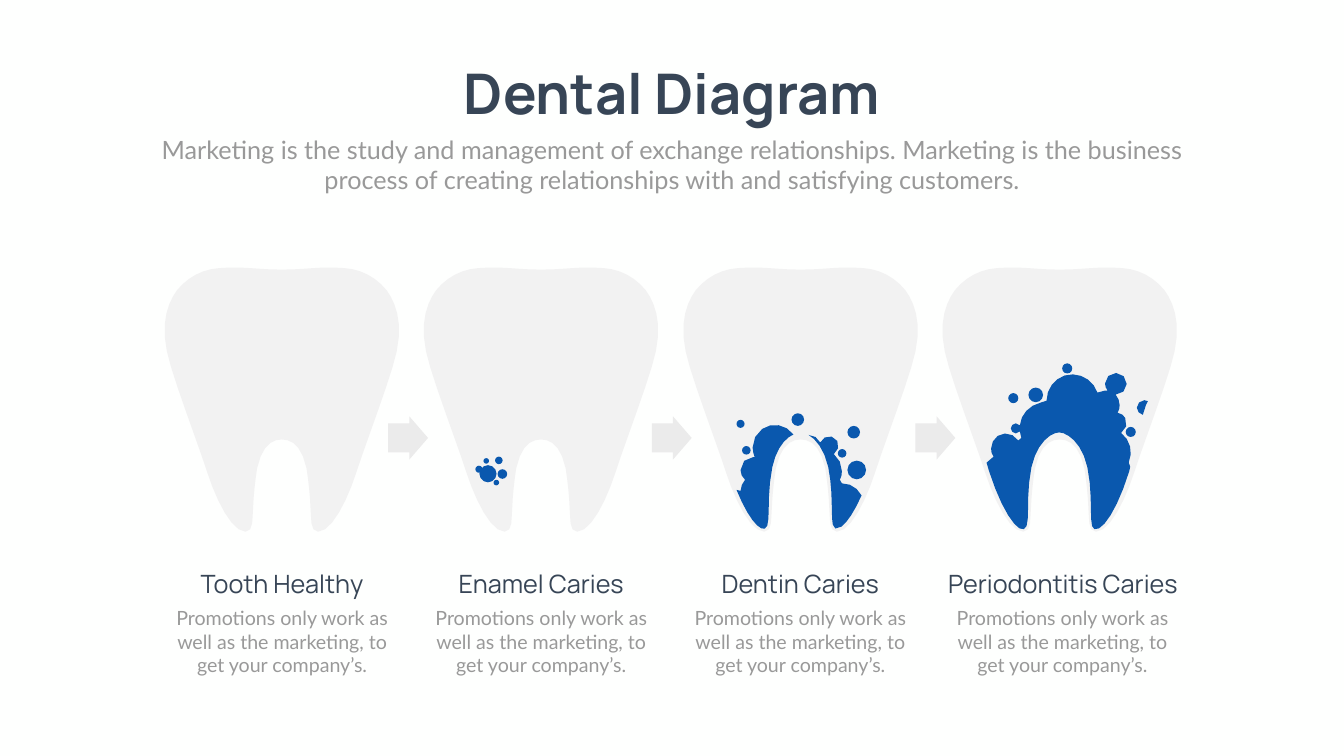
import math

from pptx import Presentation
from pptx import util as u
from pptx.dml.color import RGBColor
from pptx.enum import shapes, text

PX = 9144  # 100 px to the inch
CURVE_STEP = 18
MOST_STEPS = 6

BACKGROUND = RGBColor(0xFE, 0xFF, 0xFE)
NAVY = RGBColor(0x37, 0x45, 0x56)
GRAY = RGBColor(0x99, 0x99, 0x99)
ENAMEL = RGBColor(0xF2, 0xF2, 0xF2)
ARROW = RGBColor(0xEB, 0xEB, 0xEB)
BLUE = RGBColor(0x0A, 0x58, 0xAE)

SUBTITLE = ("Marketing is the study and management of exchange relationships. "
            "Marketing is the business process of creating relationships with "
            "and satisfying customers.")
BODY = "Promotions only work as well as the marketing, to get your company’s."

# Heading, heading width and label centre of each stage
STAGES = [
    ("Tooth Healthy", 499, 559),
    ("Enamel Caries", 499, 1074),
    ("Dentin Caries", 499, 1587),
    ("Periodontitis Caries", 637, 2108),
]
FIRST_TOOTH_CENTER, TOOTH_PITCH = 559, 514.33
FIRST_ARROW_LEFT, ARROW_PITCH = 770, 523

# Outlines: a start point, then lines (x, y) and cubic curves (six numbers)
TOOTH_LEFT_HALF = [
    (0, 535), (-50, 535, -76, 528, -124, 532), (-157, 534, -187, 550, -208, 576),
    (-224, 598, -241, 636, -228, 697), (-218, 746, -164, 886, -148, 937),
    (-130, 993, -99, 1055, -72, 1055), (-55, 1055, -59, 1026, -57, 1009),
    (-56, 982, -53, 955, -49, 929), (-39, 883, -19, 872, 0, 872),
]
DENTIN_LEFT_ROOT = [
    (1517, 1049), (1531, 1045, 1519, 990, 1532, 927), (1540, 889, 1558, 869, 1574, 862),
    (1559, 842, 1532, 837, 1512, 851), (1500, 860, 1493, 873, 1493, 888),
    (1493, 895, 1495, 901, 1497, 907), (1494, 907), (1480, 907, 1469, 918, 1469, 933),
    (1469, 940, 1472, 947, 1478, 952), (1473, 958, 1469, 966, 1469, 974),
    (1461, 972), (1482, 1024, 1505, 1053, 1517, 1049),
]
DENTIN_RIGHT_ROOT = [
    (1670, 959), (1666, 952), (1669, 947, 1670, 941, 1670, 935),
    (1670, 921, 1664, 909, 1654, 901), (1662, 896, 1666, 884, 1661, 875),
    (1656, 866, 1644, 863, 1636, 868), (1627, 878), (1623, 869, 1614, 863, 1604, 863),
    (1618, 871, 1635, 891, 1643, 927), (1653, 977, 1648, 1023, 1652, 1041),
    (1653, 1048, 1659, 1053, 1669, 1045), (1680, 1037, 1695, 1015, 1709, 983),
    (1701, 968, 1687, 959, 1670, 959),
]
PERIODONTITIS = [
    (2242, 926), (2239, 918), (2248, 897, 2242, 873, 2224, 859),
    (2234, 853, 2238, 840, 2232, 829), (2229, 824, 2224, 820, 2217, 819),
    (2220, 814, 2221, 809, 2221, 804), (2221, 796, 2218, 789, 2213, 783),
    (2225, 783, 2235, 774, 2235, 762), (2235, 750, 2226, 740, 2214, 740),
    (2202, 740, 2192, 749, 2192, 761), (2192, 766, 2194, 771, 2197, 775),
    (2192, 775), (2177, 779), (2168, 752, 2139, 737, 2112, 745),
    (2091, 752, 2076, 772, 2076, 795), (2064, 799), (2042, 804, 2025, 822, 2023, 844),
    (2015, 840), (2010, 840, 2005, 845, 2005, 850), (2005, 855, 2010, 860, 2015, 860),
    (2023, 856), (2026, 869), (2020, 874), (2011, 860, 1992, 856, 1979, 865),
    (1971, 871, 1966, 880, 1966, 890), (1966, 896, 1967, 902, 1971, 906),
    (1957, 918), (1962, 935), (1986, 1010, 2016, 1055, 2031, 1050),
    (2046, 1045, 2033, 990, 2046, 927), (2057, 877, 2086, 858, 2101, 858),
    (2116, 858, 2146, 877, 2157, 927), (2170, 990, 2158, 1046, 2171, 1050),
    (2187, 1055, 2217, 1010, 2240, 935),
]
CUT_SPOT = [
    (2255, 809), (2255, 816, 2261, 822, 2267, 823), (2273, 804), (2277, 796),
    (2270, 794), (2262, 794, 2255, 801, 2255, 809),
]

# Each decay: its outlines, then its round spots (left, top, diameter)
DECAYS = [
    ([], [(987, 931, 19), (982, 906, 15), (943, 924, 14), (951, 923, 34),
          (959, 909, 11), (979, 952, 11)]),
    ([DENTIN_LEFT_ROOT, DENTIN_RIGHT_ROOT],
     [(1681, 914, 37), (1570, 820, 25), (1662, 891, 17), (1472, 885, 17),
      (1461, 833, 16), (1681, 845, 25)]),
    ([PERIODONTITIS, CUT_SPOT],
     [(2040, 769, 29), (2107, 721, 20), (2233, 847, 20), (2000, 780, 20)]),
]


def trace(outline):
    """Return the points along an outline, with longer curves sampled more often."""
    points = [outline[0]]
    for segment in outline[1:]:
        if len(segment) == 2:
            points.append(segment)
            continue
        p0, p1, p2, p3 = points[-1], segment[:2], segment[2:4], segment[4:]
        length = math.dist(p0, p1) + math.dist(p1, p2) + math.dist(p2, p3)
        steps = max(2, min(MOST_STEPS, round(length / CURVE_STEP)))
        for step in range(1, steps + 1):
            t = step / steps
            weights = (1 - t) ** 3, 3 * t * (1 - t) ** 2, 3 * t * t * (1 - t), t ** 3
            points.append(tuple(sum(w * p[axis] for w, p in zip(weights, (p0, p1, p2, p3)))
                                for axis in (0, 1)))
    return points


def paint(shape, color):
    shape.shadow.inherit = False
    shape.fill.solid()
    shape.fill.fore_color.rgb = color
    shape.line.fill.background()


def add_outline(parent, points, color):
    scaled = [(x * PX, y * PX) for x, y in points]
    builder = parent.build_freeform(*scaled[0])
    builder.add_line_segments(scaled[1:])
    paint(builder.convert_to_shape(), color)


def add_preset(parent, kind, left, top, width, height, color):
    shape = parent.add_shape(kind, left * PX, top * PX, width * PX, height * PX)
    paint(shape, color)
    return shape


def add_tooth(parent, center):
    half = trace(TOOTH_LEFT_HALF)
    whole = half + [(-x, y) for x, y in half[-2:0:-1]]
    add_outline(parent, [(center + x, y) for x, y in whole], ENAMEL)


def add_decay(parent, outlines, spots):
    group = parent.add_group_shape()
    for outline in outlines:
        add_outline(group.shapes, trace(outline), BLUE)
    for left, top, diameter in spots:
        add_preset(group.shapes, shapes.MSO_SHAPE.OVAL, left, top, diameter, diameter, BLUE)


def add_arrow(parent, left):
    arrow = add_preset(parent, shapes.MSO_SHAPE.RIGHT_ARROW, left, 826, 79, 86, ARROW)
    arrow.adjustments[0] = 0.67
    arrow.adjustments[1] = 0.47


def add_text(parent, content, center, top, width, height, size, font, color,
             bold=False, wrap=True):
    left = round(center - width / 2)
    box = parent.add_textbox(left * PX, top * PX, width * PX, height * PX)
    frame = box.text_frame
    frame.word_wrap = wrap
    frame.auto_size = text.MSO_AUTO_SIZE.SHAPE_TO_FIT_TEXT
    paragraph = frame.paragraphs[0]
    paragraph.text = content
    paragraph.alignment = text.PP_ALIGN.CENTER
    paragraph.font.size = u.Pt(size)
    paragraph.font.name = font
    paragraph.font.bold = bold
    paragraph.font.color.rgb = color


def main():
    presentation = Presentation()
    presentation.slide_width = 2666 * PX
    presentation.slide_height = 1500 * PX
    slide = presentation.slides.add_slide(presentation.slide_layouts[6])
    slide.background.fill.solid()
    slide.background.fill.fore_color.rgb = BACKGROUND
    parent = slide.shapes

    add_text(parent, "Dental Diagram", 1333, 112, 935, 145, 80, "Manrope", NAVY,
             bold=True, wrap=False)
    add_text(parent, SUBTITLE, 1333, 261, 2082, 131, 36, "Lato", GRAY)
    for index in range(len(STAGES)):
        add_tooth(parent, round(FIRST_TOOTH_CENTER + index * TOOTH_PITCH))
    for outlines, spots in DECAYS:
        add_decay(parent, outlines, spots)
    for index in range(len(STAGES) - 1):
        add_arrow(parent, FIRST_ARROW_LEFT + index * ARROW_PITCH)
    for heading, width, center in STAGES:
        label = parent.add_group_shape().shapes
        add_text(label, heading, center, 1123, width, 71, 36, "Manrope", NAVY)
        add_text(label, BODY, center, 1198, 499, 151, 28, "Lato", GRAY)

    presentation.save("out.pptx")


if __name__ == "__main__":
    main()
